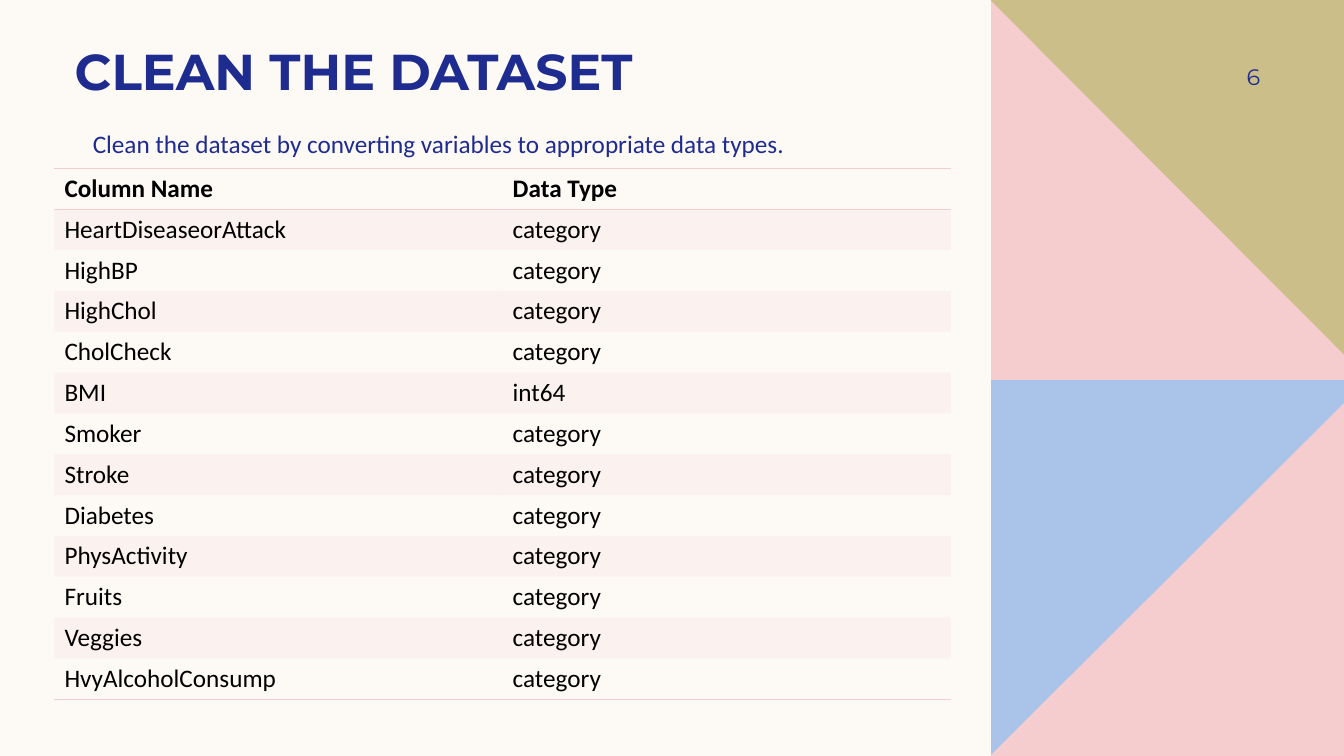
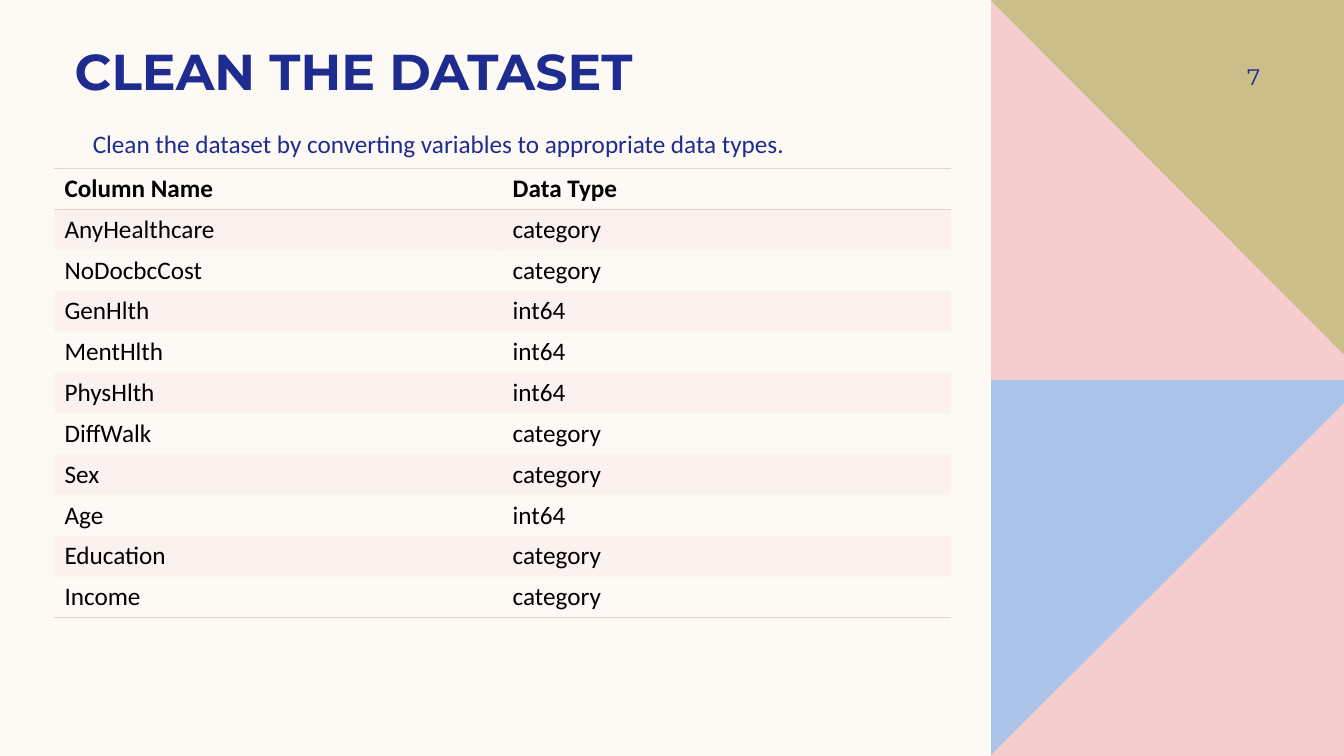
from lxml.etree import SubElement as Sub
from pptx import Presentation as Deck
from pptx.dml.color import RGBColor as Rgb
from pptx.enum.text import MSO_ANCHOR as Anchor, MSO_AUTO_SIZE as Fit, PP_ALIGN as Align
from pptx.oxml.ns import qn
from pptx.util import Inches, Pt

CREAM, NAVY, PINK = "FDFAF6", "1F2C8F", "F5CDCE"
BLUE, GOLD, BLACK = "AAC3E8", "CCBE89", "000000"
PLAIN = "{2D5ABB26-0587-4C30-8999-92F81FD0307C}"
HEAD = ("Column Name", "Data Type")
PAGES = {
    6: [
        ("HeartDiseaseorAttack", "category"), ("HighBP", "category"),
        ("HighChol", "category"), ("CholCheck", "category"),
        ("BMI", "int64"), ("Smoker", "category"),
        ("Stroke", "category"), ("Diabetes", "category"),
        ("PhysActivity", "category"), ("Fruits", "category"),
        ("Veggies", "category"), ("HvyAlcoholConsump", "category"),
    ],
    7: [
        ("AnyHealthcare", "category"), ("NoDocbcCost", "category"),
        ("GenHlth", "int64"), ("MentHlth", "int64"),
        ("PhysHlth", "int64"), ("DiffWalk", "category"),
        ("Sex", "category"), ("Age", "int64"),
        ("Education", "category"), ("Income", "category"),
    ],
}
LEFT, RIGHT, FOOT = 9.83, 13.33, 7.5
BANDS = [
    (BLUE, [(LEFT, 3.75), (RIGHT, 3.75), (RIGHT, FOOT), (LEFT, FOOT)]),
    (PINK, [(RIGHT, 4), (RIGHT, FOOT), (LEFT, FOOT), (LEFT, 7.49)]),
    (GOLD, [(LEFT, 0), (RIGHT, 0), (RIGHT, 3.76), (LEFT, 3.76)]),
    (PINK, [(LEFT, 0.01), (RIGHT, 3.52), (RIGHT, 3.77), (LEFT, 3.77)]),
]


def paint(part, shade):
    if hasattr(part, "solid"):
        part.solid()
        part = part.fore_color
    part.rgb = Rgb.from_string(shade)


def write(frame, text, size, face, shade, bold=False):
    frame.text = text
    line = frame.paragraphs[0]
    font = line.runs[0].font
    font.size, font.name, font.bold = Pt(size), face, bold
    paint(font.color, shade)
    return line


deck = Deck()
deck.slide_width, deck.slide_height = Inches(RIGHT), Inches(FOOT)
base = deck.slide_layouts.get_by_name("Section Header")
paint(base.background.fill, CREAM)

spots = {0: (0.64, 0.43, 8.53, 0.57, Anchor.BOTTOM), 1: (0.82, 1.27, 8, 0.48, Anchor.TOP)}
for spot in list(base.placeholders):
    key = spot.placeholder_format.idx
    if key not in spots:
        base.shapes.element.remove(spot.element)
        continue
    spot.left, spot.top, spot.width, spot.height = map(Inches, spots[key][:4])
    frame = spot.text_frame
    frame.vertical_anchor = spots[key][4]
    frame.auto_size = Fit.NONE
    frame.margin_left = frame.margin_right = Inches(0.1)
    frame.margin_top = frame.margin_bottom = 0

slides = [deck.slides.add_slide(base) for page in PAGES]

for shade, points in BANDS:
    dots = [(Inches(x), Inches(y)) for x, y in points]
    pen = slides[0].shapes.build_freeform(*dots[0])
    pen.add_line_segments(dots[1:], close=True)
    band = pen.convert_to_shape()
    band.shadow.inherit = False
    paint(band.fill, shade)
    band.line.fill.background()
    base.shapes.element.append(band.element)

for slide, (page, rows) in zip(slides, PAGES.items()):
    write(slide.shapes.title.text_frame, "CLEAN THE DATASET", 36, "Montserrat", NAVY, True)

    box = slide.shapes.add_textbox(Inches(11.42), Inches(0.5), Inches(1.08), Inches(0.52))
    frame = box.text_frame
    frame.word_wrap = True
    frame.vertical_anchor = Anchor.MIDDLE
    frame.margin_right = 0
    write(frame, str(page), 16, "Montserrat", NAVY).alignment = Align.RIGHT

    note = "Clean the dataset by converting variables to appropriate data types."
    line = write(slide.placeholders[1].text_frame, note, 18, "Calibri", NAVY)
    line.space_before = Pt(10)

    cells = [HEAD] + rows
    last = len(rows)
    tall = Inches(5.27 / 13)
    grid = slide.shapes.add_table(
        len(cells), 2, Inches(0.54), Inches(1.67), Inches(8.89), tall * len(cells)
    ).table
    grid.horz_banding = False
    grid._tbl.tblPr.find(qn("a:tableStyleId")).text = PLAIN
    for r, pair in enumerate(cells):
        grid.rows[r].height = tall
        edges = {0: ("a:lnT", "a:lnB"), last: ("a:lnB",)}.get(r, ())
        for c, text in enumerate(pair):
            cell = grid.cell(r, c)
            cell.vertical_anchor = Anchor.MIDDLE
            write(cell.text_frame, text, 18, "Calibri", BLACK, r == 0)
            props = cell._tc.get_or_add_tcPr()
            for edge in edges:
                rule = Sub(props, qn(edge), w=str(Pt(1)))
                Sub(Sub(rule, qn("a:solidFill")), qn("a:srgbClr"), val=PINK)
            if r % 2:
                paint(cell.fill, PINK)
                Sub(props.find(qn("a:solidFill"))[0], qn("a:alpha"), val="20000")
            else:
                cell.fill.background()

deck.save("out.pptx")
